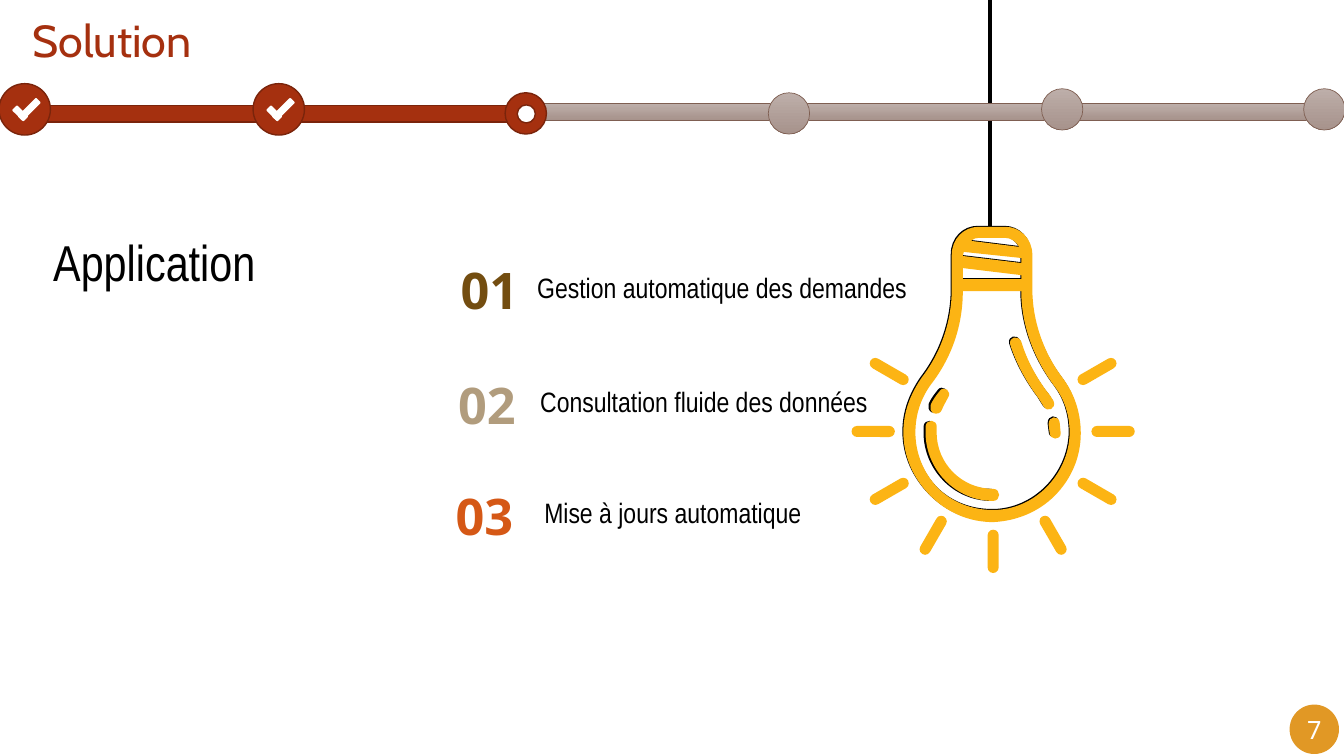
"""Build the "Solution" slide: progress track, three benefits and a hanging light bulb."""
from math import cos, radians, sin

from pptx import Presentation
from pptx.dml.color import RGBColor
from pptx.enum.shapes import MSO_CONNECTOR, MSO_SHAPE as Shape
from pptx.enum.text import MSO_ANCHOR as Anchor, PP_ALIGN as Align
from pptx.oxml.ns import qn
from pptx.util import Inches, Pt

COLORS = {
    "black": "000000", "white": "FFFFFF", "red": "A5300F", "dark_red": "7A240B",
    "gray_top": "BDAEA9", "gray_bottom": "A7938C", "brown": "7F5F52",
    "gold": "FCB414", "badge": "E19825",
    "first": "734D10", "second": "B19C7D", "third": "D55816",
}
TITLE = " Solution"
HEADING = "Application"
PAGE_NUMBER = "7"
BENEFITS = [
    ("01", "first", (3.87, 2.52, 1.97, 0.71), "Gestion automatique des demandes", 5.23),
    ("02", "second", (4.08, 3.66, 1.5, 0.71), "Consultation fluide des données", 5.26),
    ("03", "third", (4.16, 4.76, 1.29, 0.71), "Mise à jours automatique", 5.3),
]
TRACK_BARS = [
    (10.65, 1.03, "gray"), (7.99, 1.03, "gray"), (5.33, 1.03, "gray"),
    (2.77, 1.05, "red"), (0.36, 1.05, "red"),
]
MILESTONES = [
    (5.01, 0.92, "red"), (7.62, 0.92, "gray"), (10.33, 0.88, "gray"), (12.93, 0.88, "gray"),
]
CHECKED_STEPS = [-0.01, 2.51]
CHECK_STROKES = [(0.13, 0.26, 0.16, 45), (0.17, 0.22, 0.26, 135)]

BULB_CENTER = (9.85, 4.28)
RAY_RADIUS, RAY_LENGTH, RAY_WIDTH = 1.19, 0.43, 0.11
RAY_ANGLES = range(-30, 211, 30)

BULB = [
    [(9.14, 3.75), (9.03, 3.91, 8.96, 4.09, 8.96, 4.29), (8.96, 4.53, 9.06, 4.75, 9.23, 4.92),
     (9.4, 5.09, 9.62, 5.18, 9.85, 5.18), (10.08, 5.17, 10.3, 5.08, 10.46, 4.92),
     (10.63, 4.75, 10.72, 4.53, 10.72, 4.3), (10.72, 4.1, 10.66, 3.91, 10.54, 3.75),
     (10.35, 3.5, 10.24, 3.18, 10.24, 2.87), (10.24, 2.53),
     (10.24, 2.37, 10.12, 2.25, 9.97, 2.25), (9.71, 2.25),
     (9.56, 2.25, 9.44, 2.37, 9.44, 2.53), (9.44, 2.87), (9.44, 3.18, 9.34, 3.49, 9.14, 3.75)],
    [(10.45, 3.82), (10.56, 3.96, 10.61, 4.12, 10.61, 4.3), (10.6, 4.71, 10.26, 5.06, 9.85, 5.06),
     (9.65, 5.06, 9.45, 4.99, 9.3, 4.84), (9.16, 4.69, 9.08, 4.5, 9.08, 4.29),
     (9.08, 4.12, 9.13, 3.96, 9.23, 3.82), (9.44, 3.55, 9.55, 3.23, 9.55, 2.89),
     (10.13, 2.89), (10.13, 3.22, 10.25, 3.55, 10.45, 3.82)],
    [(10.13, 2.56), (10.13, 2.61), (9.55, 2.54), (9.56, 2.5)],
    [(10.13, 2.73), (10.13, 2.77), (9.55, 2.77), (9.55, 2.66)],
    [(9.97, 2.36), (10.03, 2.36, 10.08, 2.4, 10.11, 2.45), (9.63, 2.39),
     (9.65, 2.37, 9.68, 2.36, 9.71, 2.36)],
]
SHORT_RIGHT_GLINT = [
    [(10.4, 4.21), (10.41, 4.29), (10.41, 4.37, 10.52, 4.37, 10.52, 4.3),
     (10.51, 4.19), (10.5, 4.12, 10.4, 4.12, 10.4, 4.21)],
]
LONG_RIGHT_GLINT = [
    [(10.02, 3.42), (10.08, 3.61, 10.18, 3.79, 10.3, 3.95), (10.35, 4.03),
     (10.39, 4.1, 10.48, 4.05, 10.45, 3.98), (10.43, 3.95, 10.41, 3.91, 10.38, 3.88),
     (10.27, 3.73, 10.18, 3.56, 10.13, 3.39), (10.1, 3.32, 10, 3.34, 10.02, 3.42)],
]
SHORT_LEFT_GLINT = [
    [(9.26, 4.1), (9.29, 4.11, 9.33, 4.1, 9.34, 4.07), (9.36, 4.02, 9.38, 3.99, 9.4, 3.95),
     (9.45, 3.88, 9.36, 3.82, 9.32, 3.88), (9.28, 3.93, 9.25, 3.97, 9.23, 4.02),
     (9.22, 4.05, 9.23, 4.08, 9.26, 4.1)],
]
LONG_LEFT_GLINT = [
    [(9.85, 4.85), (9.54, 4.85, 9.29, 4.6, 9.29, 4.29), (9.29, 4.24),
     (9.3, 4.16, 9.19, 4.15, 9.18, 4.23), (9.18, 4.29),
     (9.18, 4.66, 9.48, 4.97, 9.85, 4.97), (9.93, 4.97, 9.93, 4.85, 9.85, 4.85)],
]
BULB_PARTS = [
    (BULB, (-0.01, -0.01)), (SHORT_RIGHT_GLINT, (-0.01, -0.01)),
    (LONG_RIGHT_GLINT, (-0.01, -0.01)), (SHORT_LEFT_GLINT, (-0.02, -0.01)),
    (LONG_LEFT_GLINT, (-0.02, 0)),
]


def rgb(name):
    return RGBColor.from_string(COLORS[name])


def paint(shape, fill, line=None, width=1):
    shape.shadow.inherit = False
    if fill == "gray":
        shape.fill.gradient()
        shape.fill.gradient_angle = 270
        for stop, name in zip(shape.fill.gradient_stops, ("gray_top", "gray_bottom")):
            stop.color.rgb = rgb(name)
        line, width = "brown", 0.5
    else:
        shape.fill.solid()
        shape.fill.fore_color.rgb = rgb(fill)
    if line:
        shape.line.color.rgb = rgb(line)
        shape.line.width = Pt(width)
    else:
        shape.line.fill.background()


def add_preset(page, kind, box, fill, line=None, rotation=0):
    shape = page.shapes.add_shape(kind, *map(Inches, box))
    shape.rotation = rotation
    paint(shape, fill, line)
    return shape


def add_outline(page, contours, fill, offset=(0, 0)):
    """Draw closed contours of corners (2 numbers) and Bezier curves (6 numbers)."""
    def place(x, y):
        return Inches(x + offset[0]), Inches(y + offset[1])

    builder = page.shapes.build_freeform(*place(*contours[0][0]))
    for index, contour in enumerate(contours):
        if index:
            builder.move_to(*place(*contour[0]))
        builder.add_line_segments([place(*part[-2:]) for part in contour[1:]], close=True)
    shape = builder.convert_to_shape()
    parts = [part for contour in contours for part in contour[1:]]
    for segment, part in zip(list(shape.element.iter(qn("a:lnTo"))), parts):
        if len(part) == 6:
            curve = segment.makeelement(qn("a:cubicBezTo"), {})
            for i in (0, 2, 4):
                x, y = place(*part[i:i + 2])
                point = {"x": str(x - shape.left), "y": str(y - shape.top)}
                curve.append(curve.makeelement(qn("a:pt"), point))
            segment.getparent().replace(segment, curve)
    paint(shape, fill)


def write(shape, text, size, font, color, bold=False, align=Align.LEFT, wrap=True):
    frame = shape.text_frame
    frame.word_wrap = wrap
    para = frame.paragraphs[0]
    para.text = text
    para.alignment = align
    para.font.size, para.font.name, para.font.bold = Pt(size), font, bold
    para.font.color.rgb = rgb(color)


def add_text(page, box, *style, **options):
    write(page.shapes.add_textbox(*map(Inches, box)), *style, **options)


def add_track(page):
    for left, top, color in TRACK_BARS:
        add_preset(page, Shape.FLOWCHART_PROCESS, (left, top, 2.38, 0.16), color, "dark_red")
    for left, top, color in MILESTONES:
        add_preset(page, Shape.FLOWCHART_CONNECTOR, (left, top, 0.41, 0.41), color, "dark_red")
    add_preset(page, Shape.FLOWCHART_CONNECTOR, (5.13, 1.04, 0.18, 0.18), "white", "dark_red")
    for left in CHECKED_STEPS:
        add_preset(page, Shape.OVAL, (left, 0.83, 0.51, 0.51), "red", "dark_red")
        for dx, dy, length, angle in CHECK_STROKES:
            box = (left + dx, 0.83 + dy, length, 0.07)
            add_preset(page, Shape.ROUNDED_RECTANGLE, box, "white", rotation=angle)


def add_bulb(page):
    for contours, _ in BULB_PARTS:
        add_outline(page, contours, "gold")
    for angle in RAY_ANGLES:
        x = BULB_CENTER[0] + RAY_RADIUS * cos(radians(angle))
        y = BULB_CENTER[1] + RAY_RADIUS * sin(radians(angle))
        box = (x - RAY_LENGTH / 2, y - RAY_WIDTH / 2, RAY_LENGTH, RAY_WIDTH)
        ray = add_preset(page, Shape.ROUNDED_RECTANGLE, box, "gold", rotation=angle)
        ray.adjustments[0] = 0.5


def main():
    deck = Presentation()
    deck.slide_width, deck.slide_height = Inches(13.33), Inches(7.5)
    page = deck.slides.add_slide(deck.slide_layouts[5])
    title = page.shapes.title
    title.left, title.top, title.width, title.height = map(Inches, (0.12, 0.07, 8.52, 0.64))
    write(title, TITLE, 32, "Cabin", "red")
    title.text_frame.vertical_anchor = Anchor.MIDDLE
    for contours, offset in BULB_PARTS:
        add_outline(page, contours, "black", offset)
    ends = map(Inches, (9.82, 0, 9.82, 2.29))
    cord = page.shapes.add_connector(MSO_CONNECTOR.STRAIGHT, *ends)
    cord.line.color.rgb, cord.line.width = rgb("black"), Pt(3)
    properties = cord.element.spPr
    properties.append(properties.makeelement(qn("a:effectLst"), {}))
    add_track(page)
    add_bulb(page)
    add_text(page, (0.43, 2.24, 2.4, 0.71), HEADING, 36, "Arial Narrow", "black", wrap=False)
    for number, color, box, text, left in BENEFITS:
        add_text(page, box, number, 36, "Open Sans", color, bold=True, align=Align.CENTER)
        add_text(page, (left, box[1] + 0.11, 4.2, 0.44), text, 20, "Arial Narrow", "black")
    badge = add_preset(page, Shape.OVAL, (12.79, 6.99, 0.49, 0.49), "badge")
    write(badge, PAGE_NUMBER, 18, "Noto Sans", "white", align=Align.CENTER, wrap=False)
    badge.text_frame.vertical_anchor = Anchor.MIDDLE
    deck.save("out.pptx")


if __name__ == "__main__":
    main()
